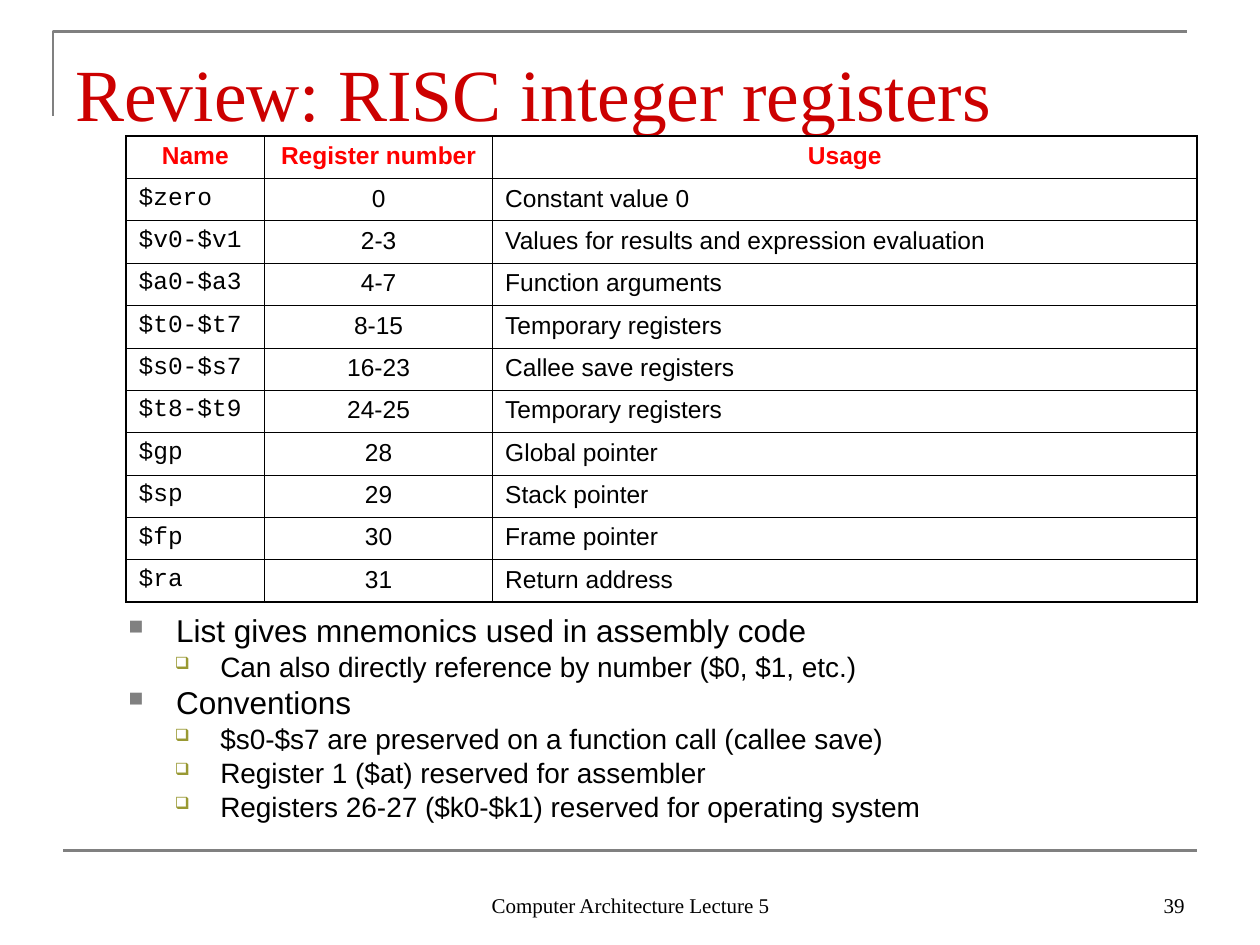
from dataclasses import dataclass

from lxml import etree
from pptx import Presentation
from pptx.dml.color import RGBColor
from pptx.enum.shapes import MSO_CONNECTOR
from pptx.enum.text import MSO_ANCHOR, PP_ALIGN
from pptx.oxml.ns import qn
from pptx.util import Inches, Pt

LEFT, CENTER, RIGHT = PP_ALIGN.LEFT, PP_ALIGN.CENTER, PP_ALIGN.RIGHT
TOP, BOTTOM = MSO_ANCHOR.TOP, MSO_ANCHOR.BOTTOM
STRAIGHT = MSO_CONNECTOR.STRAIGHT


@dataclass(frozen=True)
class Theme:
    sans: str = "Arial"
    serif: str = "Times New Roman"
    mono: str = "Courier New"
    text: str = "000000"
    title: str = "CC0000"
    header: str = "FF0000"
    rule: str = "808080"
    sub_bullet: str = "999933"
    title_size: float = 42
    cell_size: float = 14
    footer_size: float = 12
    rule_width: float = 1.5
    outer_border: float = 1.08
    inner_border: float = 0.45


THEME = Theme()


@dataclass(frozen=True)
class TextStyle:
    font: str
    size: float
    color: str = THEME.text
    bold: bool = False
    align: PP_ALIGN = LEFT


@dataclass(frozen=True)
class BulletLevel:
    style: TextStyle
    mark: str
    color: str
    percent: int
    margin: float
    hanging: float
    space_before: float


@dataclass(frozen=True)
class Box:
    left: float
    top: float
    width: float
    height: float


@dataclass(frozen=True)
class Label:
    text: str
    box: Box
    style: TextStyle
    bottom_inset: float = 0.05


LABELS = (
    Label("Computer Architecture Lecture 5", Box(3.42, 6.83, 3.17, 0.5),
          TextStyle(THEME.serif, THEME.footer_size, align=CENTER)),
    Label("39", Box(7.17, 6.83, 2.33, 0.5),
          TextStyle(THEME.serif, THEME.footer_size, align=RIGHT)),
    Label("Review: RISC integer registers", Box(0.5, 0.3, 9, 0.78),
          TextStyle(THEME.serif, THEME.title_size, THEME.title), bottom_inset=0),
)

LEVELS = (
    BulletLevel(TextStyle(THEME.sans, 18), "■", THEME.rule, 65, 0.38, 0.38, 4.5),
    BulletLevel(TextStyle(THEME.sans, 16), "❑", THEME.sub_bullet, 60, 0.73, 0.36, 4),
)
NOTES_BOX = Box(0.92, 4.86, 8.58, 1.84)
REGISTER_NOTES = (
    (0, "List gives mnemonics used in assembly code"),
    (1, "Can also directly reference by number ($0, $1, etc.)"),
    (0, "Conventions"),
    (1, "$s0-$s7 are preserved on a function call (callee save)"),
    (1, "Register 1 ($at) reserved for assembler"),
    (1, "Registers 26-27 ($k0-$k1) reserved for operating system"),
)

TABLE_BOX = Box(1, 1.08, 8.5, 3.7)
COLUMN_WIDTHS = (1.1, 1.81, 5.59)
HEADER_STYLE = TextStyle(THEME.sans, THEME.cell_size, THEME.header, True, CENTER)
COLUMN_STYLES = (
    TextStyle(THEME.mono, THEME.cell_size),
    TextStyle(THEME.sans, THEME.cell_size, align=CENTER),
    TextStyle(THEME.sans, THEME.cell_size),
)
REGISTERS = (
    ("Name", "Register number", "Usage"),
    ("$zero", "0", "Constant value 0"),
    ("$v0-$v1", "2-3", "Values for results and expression evaluation"),
    ("$a0-$a3", "4-7", "Function arguments"),
    ("$t0-$t7", "8-15", "Temporary registers"),
    ("$s0-$s7", "16-23", "Callee save registers"),
    ("$t8-$t9", "24-25", "Temporary registers"),
    ("$gp", "28", "Global pointer"),
    ("$sp", "29", "Stack pointer"),
    ("$fp", "30", "Frame pointer"),
    ("$ra", "31", "Return address"),
)


def write(paragraph, text: str, style: TextStyle) -> None:
    paragraph.alignment = style.align
    run = paragraph.add_run()
    run.text = text
    values = {"name": style.font, "size": Pt(style.size), "bold": style.bold}
    for name, value in values.items():
        setattr(run.font, name, value)
    run.font.color.rgb = RGBColor.from_string(style.color)


def add_text_frame(slide, box: Box, anchor: MSO_ANCHOR, bottom_inset: float = 0.05):
    frame = slide.shapes.add_textbox(
        Inches(box.left), Inches(box.top), Inches(box.width), Inches(box.height)).text_frame
    values = {"word_wrap": True, "vertical_anchor": anchor,
              "margin_bottom": Inches(bottom_inset)}
    for name, value in values.items():
        setattr(frame, name, value)
    return frame


def style_rule(line) -> None:
    line.color.rgb = RGBColor.from_string(THEME.rule)
    line.width = Pt(THEME.rule_width)


def add_rules(slide) -> None:
    """Draw the corner rule around the title and the rule above the footer."""
    builder = slide.shapes.build_freeform(Inches(0.42), Inches(0.92))
    builder.add_line_segments(
        [(Inches(0.42), Inches(0.25)), (Inches(9.42), Inches(0.25))], close=False)
    corner = builder.convert_to_shape()
    corner.shadow.inherit = False
    corner.fill.background()
    style_rule(corner.line)
    footer_rule = slide.shapes.add_connector(
        STRAIGHT, Inches(0.5), Inches(6.75), Inches(9.5), Inches(6.75))
    etree.SubElement(footer_rule._element.spPr, qn("a:effectLst"))
    style_rule(footer_rule.line)


def add_bullet(paragraph, level: BulletLevel) -> None:
    properties = paragraph._p.get_or_add_pPr()
    properties.set("marL", str(Inches(level.margin)))
    properties.set("indent", str(-Inches(level.hanging)))
    color = etree.SubElement(properties, qn("a:buClr"))
    etree.SubElement(color, qn("a:srgbClr"), val=level.color)
    etree.SubElement(properties, qn("a:buSzPct"), val=str(level.percent * 1000))
    etree.SubElement(properties, qn("a:buChar"), char=level.mark)


def add_notes(slide) -> None:
    frame = add_text_frame(slide, NOTES_BOX, TOP)
    for index, (depth, text) in enumerate(REGISTER_NOTES):
        paragraph = frame.add_paragraph() if index else frame.paragraphs[0]
        level = LEVELS[depth]
        add_bullet(paragraph, level)
        values = {"level": depth, "line_spacing": 0.8,
                  "space_before": Pt(level.space_before if index else 0)}
        for name, value in values.items():
            setattr(paragraph, name, value)
        write(paragraph, text, level.style)


def set_borders(cell, outer_sides: dict[str, bool]) -> None:
    """Give the sides marked True the outer width and the others the inner one."""
    properties = cell._tc.get_or_add_tcPr()
    for index, (side, is_outer) in enumerate(outer_sides.items()):
        width = THEME.outer_border if is_outer else THEME.inner_border
        border = etree.Element(qn(f"a:ln{side}"), w=str(Pt(width)))
        fill = etree.SubElement(border, qn("a:solidFill"))
        etree.SubElement(fill, qn("a:srgbClr"), val=THEME.text)
        properties.insert(index, border)


def add_register_table(slide) -> None:
    last_row, last_column = len(REGISTERS) - 1, len(COLUMN_WIDTHS) - 1
    table = slide.shapes.add_table(
        len(REGISTERS), len(COLUMN_WIDTHS), Inches(TABLE_BOX.left), Inches(TABLE_BOX.top),
        Inches(TABLE_BOX.width), Inches(TABLE_BOX.height)).table
    table.first_row = table.horz_banding = False
    for column, width in zip(table.columns, COLUMN_WIDTHS):
        column.width = Inches(width)
    for row, entries in enumerate(REGISTERS):
        for column, text in enumerate(entries):
            cell = table.cell(row, column)
            cell.fill.background()
            set_borders(cell, {"L": column == 0, "R": column == last_column,
                               "T": row in (0, 1), "B": row in (0, last_row)})
            style = COLUMN_STYLES[column] if row else HEADER_STYLE
            write(cell.text_frame.paragraphs[0], text, style)


def main() -> None:
    presentation = Presentation()
    presentation.slide_width, presentation.slide_height = Inches(10), Inches(7.5)
    slide = presentation.slides.add_slide(presentation.slide_layouts[6])
    add_rules(slide)
    for label in LABELS:
        frame = add_text_frame(slide, label.box, BOTTOM, label.bottom_inset)
        write(frame.paragraphs[0], label.text, label.style)
    add_notes(slide)
    add_register_table(slide)
    presentation.save("out.pptx")


if __name__ == "__main__":
    main()
